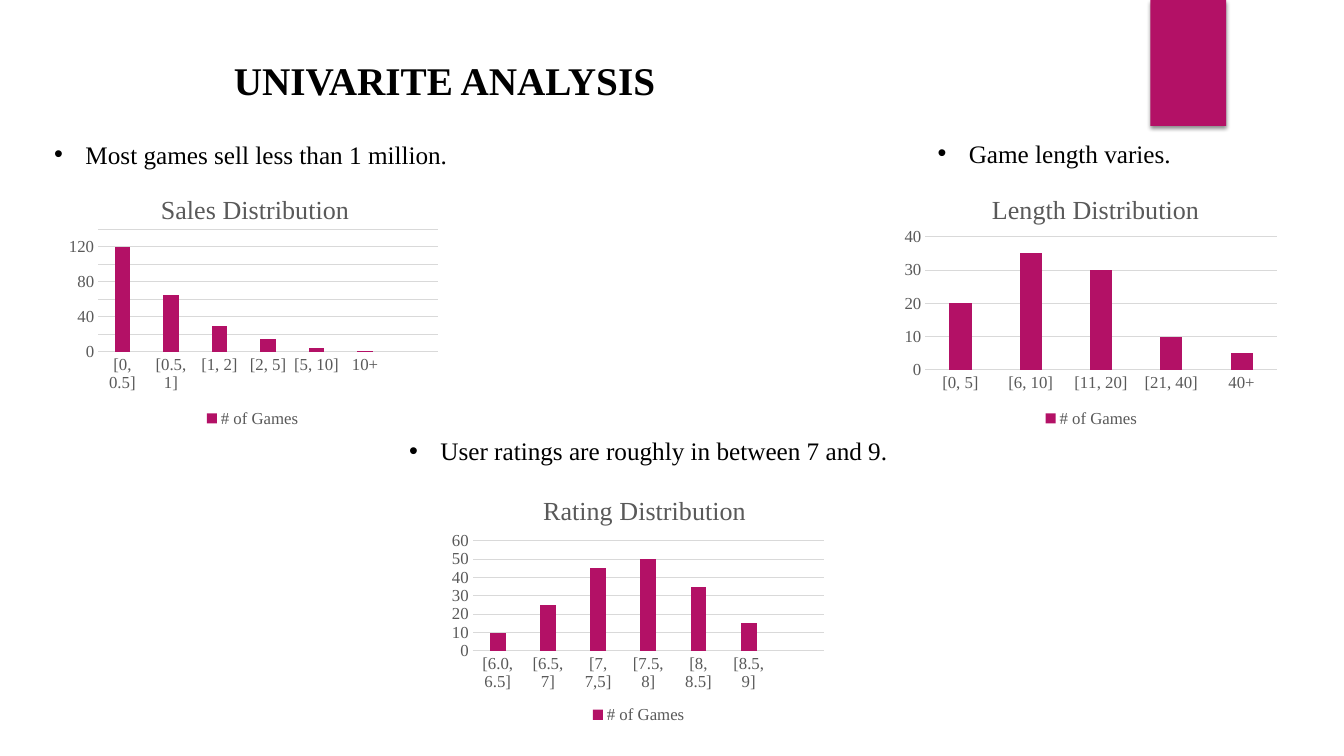
from lxml.etree import SubElement
from pptx import Presentation
from pptx.chart.data import CategoryChartData
from pptx.dml.color import RGBColor
from pptx.enum.chart import XL_CHART_TYPE as ChartType
from pptx.enum.chart import XL_LEGEND_POSITION as LegendPosition
from pptx.enum.chart import XL_TICK_MARK as TickMark
from pptx.enum.shapes import MSO_SHAPE as Shape
from pptx.enum.text import MSO_ANCHOR as Anchor
from pptx.enum.text import PP_ALIGN as Align
from pptx.oxml import parse_xml
from pptx.oxml.ns import nsdecls, qn
from pptx.util import Inches, Pt


def paint(value):
    """Turn a hex string into a colour."""
    return RGBColor.from_string(value)


def style_font(font, size, color, name="Times New Roman", bold=False):
    """Set the size, colour, family and weight of a font."""
    font.size = Pt(size)
    font.name = name
    font.bold = bold
    font.color.rgb = paint(color)


def write(para, text, align=Align.LEFT, **style):
    """Add formatted text to a paragraph."""
    para.alignment = align
    span = para.add_run()
    span.text = text
    style_font(span.font, **style)


def place(parent, index, **shares):
    """Fix the layout of a chart part in shares of the chart."""
    for old in parent.findall(qn("c:layout")):
        parent.remove(old)
    layout = parse_xml(f"<c:layout {nsdecls('c')}/>")
    manual = SubElement(layout, qn("c:manualLayout"))
    if "w" in shares:
        SubElement(manual, qn("c:layoutTarget"), val="inner")
    for side in "xy":
        SubElement(manual, qn(f"c:{side}Mode"), val="edge")
    for side, share in shares.items():
        SubElement(manual, qn(f"c:{side}"), val=str(share))
    parent.insert(index, layout)


class Page:
    """One slide with its style, measured in percent of its size."""

    accent, ink, gray, rule = "B31166", "000000", "595959", "D9D9D9"

    def __init__(self, deck):
        """Add a title-only slide to the deck."""
        self.deck = deck
        self.slide = deck.slides.add_slide(deck.slide_layouts[5])
        self.shapes = self.slide.shapes

    def area(self, left, top, width, height):
        """Convert percentages to slide lengths."""
        across, down = self.deck.slide_width, self.deck.slide_height
        return [int(share * side / 100) for share, side in
                zip((left, top, width, height), (across, down, across, down))]

    def title(self, text, *at):
        """Fill and move the title placeholder."""
        box = self.shapes.title
        box.left, box.top, box.width, box.height = self.area(*at)
        box.text_frame.vertical_anchor = Anchor.MIDDLE
        write(box.text_frame.paragraphs[0], text,
              size=28, color=self.ink, bold=True)

    def tab(self, *at):
        """Draw the accent block with its soft shadow."""
        box = self.shapes.add_shape(Shape.RECTANGLE, *self.area(*at))
        box.shadow.inherit = False
        box.fill.solid()
        box.fill.fore_color.rgb = paint(self.accent)
        box.line.fill.background()
        effects = box.element.spPr.find(qn("a:effectLst"))
        shadow = SubElement(effects, qn("a:outerShdw"), blurRad=str(Pt(3)),
                            dist=str(Pt(2)), dir="5400000", rotWithShape="0")
        color = SubElement(shadow, qn("a:srgbClr"), val=self.ink)
        SubElement(color, qn("a:alpha"), val="45000")

    def bullet(self, text, *at):
        """Add a text box with one bulleted line."""
        box = self.shapes.add_textbox(*self.area(*at))
        box.text_frame.word_wrap = True
        para = box.text_frame.paragraphs[0]
        write(para, text, size=18, color=self.ink)
        indent = Inches(0.31)
        props = para._p.get_or_add_pPr()
        props.set("marL", str(indent))
        props.set("indent", str(-indent))
        SubElement(props, qn("a:buFont"), typeface="Arial")
        SubElement(props, qn("a:buChar"), char="•")

    def columns(self, title, bars, at, top, step, title_at, plot_at):
        """Add a column chart of game counts."""
        data = CategoryChartData()
        data.categories = [label for label, _ in bars]
        data.add_series("# of Games", [count for _, count in bars])
        chart = self.shapes.add_chart(
            ChartType.COLUMN_CLUSTERED, *self.area(*at), data).chart
        style_font(chart.font, 10, self.ink, "Quicksand")

        chart.has_title = True
        heading = chart.chart_title.text_frame.paragraphs[0]
        write(heading, title, Align.CENTER, size=18.6, color=self.gray)
        place(chart.element.xpath("c:chart/c:title")[0], 1,
              **dict(zip("xy", title_at)))
        place(chart.element.xpath("c:chart/c:plotArea")[0], 0,
              **dict(zip("xywh", plot_at)))

        chart.has_legend = True
        chart.legend.position = LegendPosition.BOTTOM
        chart.legend.include_in_layout = False
        style_font(chart.legend.font, 12, self.gray)

        plot = chart.plots[0]
        plot.gap_width, plot.overlap = 219, -27
        plot.vary_by_categories = False
        fill = plot.series[0].format.fill
        fill.solid()
        fill.fore_color.rgb = paint(self.accent)

        labels, scale = chart.category_axis, chart.value_axis
        for axis in (labels, scale):
            axis.major_tick_mark = axis.minor_tick_mark = TickMark.NONE
            style_font(axis.tick_labels.font, 12, self.gray)
        scale.minimum_scale, scale.maximum_scale = 0, top
        scale.major_unit = step
        scale.has_major_gridlines = True
        scale.format.line.fill.background()
        for line in (labels.format.line, scale.major_gridlines.format.line):
            line.color.rgb = paint(self.rule)
            line.width = Pt(0.75)


def main():
    """Build and save the deck."""
    deck = Presentation()
    deck.slide_width, deck.slide_height = Inches(13.33), Inches(7.5)
    page = Page(deck)
    page.tab(85.6, 0, 5.63, 16.67)
    page.title("UNIVARITE ANALYSIS", 16.65, 6.8, 59.34, 7.6)

    page.bullet("Most games sell less than 1 million.", 3.3, 17.73, 49.96, 5.33)
    page.bullet("Game length varies.", 69.02, 17.6, 24.91, 5.33)
    page.bullet("User ratings are roughly in between 7 and 9.",
                29.71, 56.93, 49.96, 5.33)

    size = (28.73, 33.87)
    page.columns(
        "Sales Distribution",
        [("[0, 0.5]", 120), ("[0.5, 1]", 65), ("[1, 2]", 30), ("[2, 5]", 15),
         ("[5, 10]", 4), ("10+", 1), ("", None)],
        (4.43, 23.2, *size), 140, 20, (0.25, 0.05), (0.1, 0.21, 0.88, 0.48))
    page.columns(
        "Rating Distribution",
        [("[6.0, 6.5]", 10), ("[6.5, 7]", 25), ("[7, 7,5]", 45),
         ("[7.5, 8]", 50), ("[8, 8.5]", 35), ("[8.5, 9]", 15), ("", None)],
        (33.16, 62.4, *size), 60, 10, (0.24, 0.07), (0.07, 0.27, 0.91, 0.43))
    page.columns(
        "Length Distribution",
        [("[0, 5]", 20), ("[6, 10]", 35), ("[11, 20]", 30),
         ("[21, 40]", 10), ("40+", 5)],
        (66.84, 23.2, *size), 40, 10, (0.23, 0.05), (0.07, 0.24, 0.91, 0.52))
    deck.save("out.pptx")


if __name__ == "__main__":
    main()
